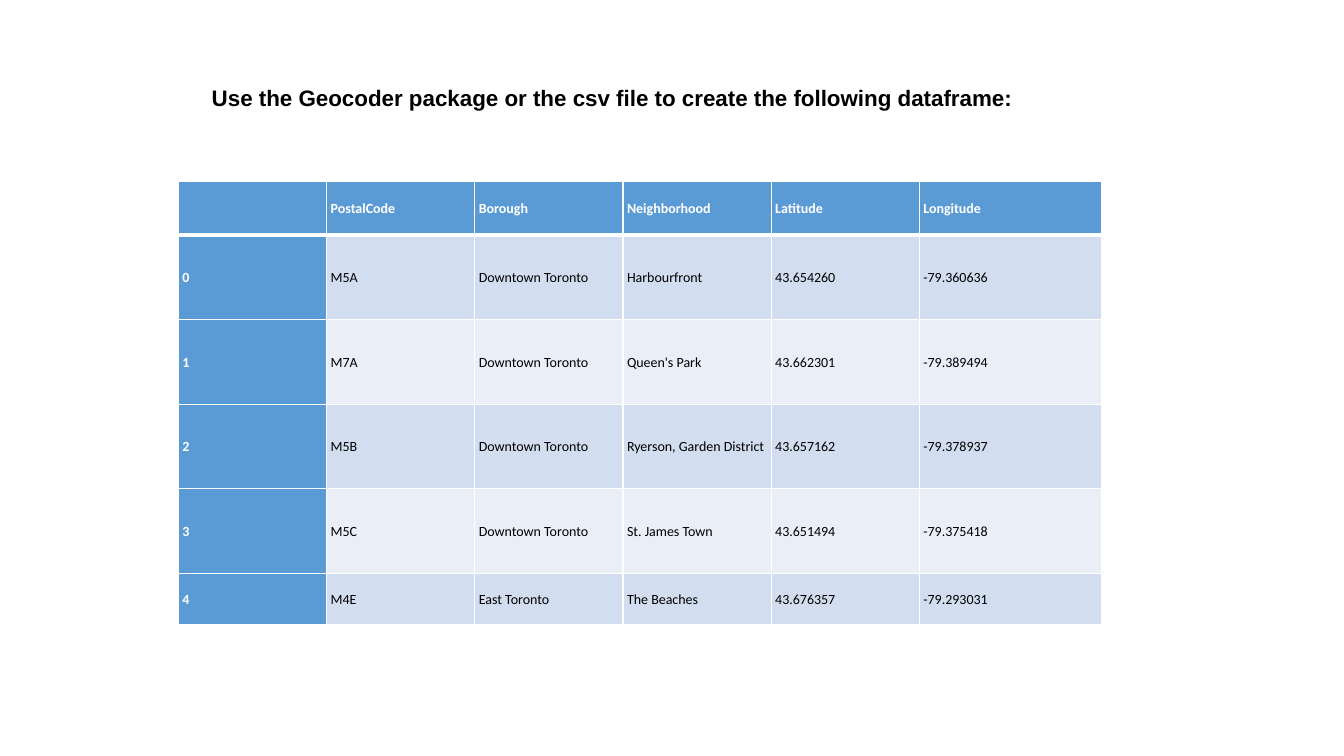
from dataclasses import dataclass

from lxml import etree
from pptx import Presentation
from pptx.dml.color import RGBColor
from pptx.enum.text import MSO_ANCHOR, MSO_AUTO_SIZE, PP_ALIGN
from pptx.oxml.ns import qn
from pptx.util import Inches, Pt

MIDDLE, TOP = MSO_ANCHOR.MIDDLE, MSO_ANCHOR.TOP
LEFT = PP_ALIGN.LEFT
NO_AUTOFIT = MSO_AUTO_SIZE.NONE
TITLE_ONLY = 5

# Content
TITLE = "Use the Geocoder package or the csv file to create the following dataframe:"
DATAFRAME = [
    ("", "PostalCode", "Borough", "Neighborhood", "Latitude", "Longitude"),
    ("0", "M5A", "Downtown Toronto", "Harbourfront", "43.654260", "-79.360636"),
    ("1", "M7A", "Downtown Toronto", "Queen's Park", "43.662301", "-79.389494"),
    ("2", "M5B", "Downtown Toronto", "Ryerson, Garden District", "43.657162", "-79.378937"),
    ("3", "M5C", "Downtown Toronto", "St. James Town", "43.651494", "-79.375418"),
    ("4", "M4E", "East Toronto", "The Beaches", "43.676357", "-79.293031"),
]
COLUMN_WIDTHS = [1.47] * 5 + [1.81]
ROW_HEIGHTS = [0.53] + [0.84] * 4 + [0.51]


@dataclass(frozen=True)
class Theme:
    white: str = "FFFFFF"
    black: str = "000000"
    header: str = "5B9BD5"
    odd_row: str = "D2DEEF"
    even_row: str = "EAEFF7"
    title_font: str = "Arial"
    table_font: str = "Calibri"
    title_size: int = 16
    table_size: int = 10
    thin_border: int = 1
    thick_border: int = 3


THEME = Theme()


def set_font(paragraph, name, size, color, bold):
    font = paragraph.font
    font.name, font.size, font.bold = name, Pt(size), bold
    font.color.rgb = RGBColor.from_string(color)


def set_borders(cell, row):
    """Draw white borders, thick between the header and the first data row."""
    properties = cell._tc.get_or_add_tcPr()
    thick_side = {0: "lnB", 1: "lnT"}.get(row)
    for side in ("lnL", "lnR", "lnT", "lnB"):
        width = THEME.thick_border if side == thick_side else THEME.thin_border
        line = etree.SubElement(properties, qn(f"a:{side}"), w=str(Pt(width)))
        fill = etree.SubElement(line, qn("a:solidFill"))
        etree.SubElement(fill, qn("a:srgbClr"), val=THEME.white)


def add_title(slide):
    title = slide.shapes.title
    title.left, title.top = Inches(2.1), Inches(0.72)
    title.width, title.height = Inches(8.62), Inches(0.68)
    title.fill.solid()
    title.fill.fore_color.rgb = RGBColor.from_string(THEME.white)
    frame = title.text_frame
    frame.text = TITLE
    frame.word_wrap = True
    frame.auto_size = NO_AUTOFIT
    frame.vertical_anchor = TOP
    frame.margin_left = frame.margin_right = frame.margin_bottom = 0
    frame.margin_top = Inches(0.11)
    paragraph = frame.paragraphs[0]
    paragraph.alignment = LEFT
    set_font(paragraph, THEME.title_font, THEME.title_size, THEME.black, True)


def format_cell(cell, text, row, column):
    is_header = row == 0 or column == 0
    row_fill = THEME.odd_row if row % 2 else THEME.even_row
    set_borders(cell, row)
    cell.fill.solid()
    cell.fill.fore_color.rgb = RGBColor.from_string(THEME.header if is_header else row_fill)
    cell.vertical_anchor = MIDDLE
    cell.margin_left = cell.margin_right = Inches(0.04)
    cell.margin_top = cell.margin_bottom = Inches(0.04)
    cell.text = text
    paragraph = cell.text_frame.paragraphs[0]
    paragraph.line_spacing = 1.07
    color = THEME.white if is_header else THEME.black
    set_font(paragraph, THEME.table_font, THEME.table_size, color, is_header)


def add_dataframe(slide):
    table = slide.shapes.add_table(
        len(DATAFRAME), len(COLUMN_WIDTHS), Inches(1.77), Inches(1.8),
        Inches(sum(COLUMN_WIDTHS)), Inches(sum(ROW_HEIGHTS)),
    ).table
    table.first_col = True
    for column, width in zip(table.columns, COLUMN_WIDTHS):
        column.width = Inches(width)
    for table_row, height in zip(table.rows, ROW_HEIGHTS):
        table_row.height = Inches(height)
    for row, values in enumerate(DATAFRAME):
        for column, text in enumerate(values):
            format_cell(table.cell(row, column), text, row, column)


def main():
    presentation = Presentation()
    presentation.slide_width, presentation.slide_height = Inches(13.33), Inches(7.5)
    slide = presentation.slides.add_slide(presentation.slide_layouts[TITLE_ONLY])
    add_dataframe(slide)
    add_title(slide)
    presentation.save("out.pptx")


if __name__ == "__main__":
    main()
